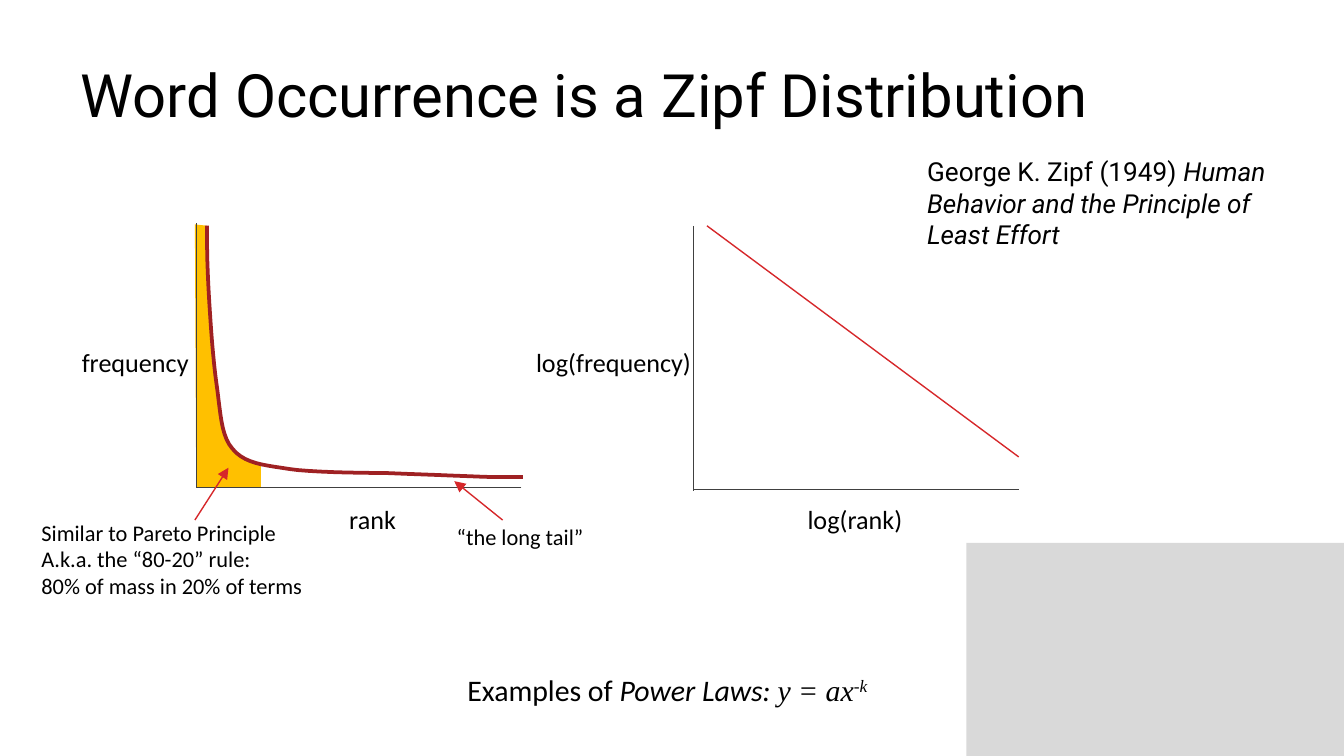
from dataclasses import dataclass

from lxml import etree
from pptx import Presentation
from pptx.dml.color import RGBColor
from pptx.enum.shapes import MSO_CONNECTOR, MSO_SHAPE
from pptx.enum.text import MSO_ANCHOR, MSO_AUTO_SIZE, PP_ALIGN
from pptx.oxml.ns import qn
from pptx.util import Inches, Pt

BLACK = RGBColor(0x00, 0x00, 0x00)
DARK = RGBColor(0x40, 0x40, 0x40)
RED = RGBColor(0xD6, 0x27, 0x2A)
MAROON = RGBColor(0x9F, 0x21, 0x23)
GOLD = RGBColor(0xFF, 0xC0, 0x00)
GREY = RGBColor(0xD9, 0xD9, 0xD9)
STRAIGHT = MSO_CONNECTOR.STRAIGHT
RECT = MSO_SHAPE.RECTANGLE
MIDDLE = MSO_ANCHOR.MIDDLE
TOP = MSO_ANCHOR.TOP
NO_FIT = MSO_AUTO_SIZE.NONE
LEFT = PP_ALIGN.LEFT

Point = tuple[float, float]
WIDE = 10
HIGH = WIDE * 9 / 16
STEPS = 10
MASS_EDGE = 1.94
BASE = 3.63


@dataclass
class Part:
    """A run of text; its text may hold line breaks."""
    text: str
    font: str = "Calibri"
    italic: bool = False
    raised: bool = False


@dataclass
class Label:
    """A text box: place, size in points, and paragraphs of parts."""
    box: tuple[float, float, float, float]
    size: int
    paras: list[list[Part]]
    wrap: bool = False


@dataclass
class Stroke:
    """A straight line, with an arrowhead at its end if wanted."""
    start: Point
    end: Point
    color: RGBColor = RED
    width: float = 0.75
    arrow: bool = False


LABELS = [
    Label((3.89, 2.53, 1.37, 0.34), 14, [[Part("log(frequency)")]]),
    Label((5.91, 3.7, 0.91, 0.34), 14, [[Part("log(rank)")]]),
    Label((2.5, 3.7, 0.55, 0.34), 14, [[Part("rank")]]),
    Label((0.51, 2.53, 1.01, 0.34), 14, [[Part("frequency")]]),
    Label((3.3, 3.84, 1.15, 0.3), 12, [[Part("“the long tail”")]]),
    Label((0.21, 3.81, 2.17, 0.71), 12, [
        [Part("Similar to Pareto Principle")],
        [Part("A.k.a. the “80-20” rule:\n80% of mass in 20% of terms")]]),
    Label((6.8, 1.11, 3, 0.81), 14, [[
        Part("George K. Zipf (1949) ", "Roboto"),
        Part("Human Behavior and the Principle of Least Effort",
             "Roboto", True)]], True),
    Label((3.38, 4.95, 3.23, 0.37), 16, [[
        Part("Examples of "), Part("Power Laws: ", italic=True),
        Part("y = ax", "Times New Roman", True),
        Part("-k", "Times New Roman", True, True)]]),
]

STROKES = [
    Stroke((5.16, 1.68), (5.16, 3.65), DARK, 0.5),
    Stroke((7.58, 3.64), (5.16, 3.64), DARK, 0.5),
    Stroke((5.26, 1.68), (7.58, 3.4)),
    Stroke((1.46, 1.66), (1.46, BASE), DARK, 0.5),
    Stroke((3.88, BASE), (1.46, BASE), DARK, 0.5),
    Stroke((1.45, 3.87), (1.7, 3.48), arrow=True),
    Stroke((3.74, 3.87), (3.38, 3.58), arrow=True),
]

# Cubic segments: two control points and an end point each.
ZIPF_START = (1.54, 1.68)
ZIPF_BENDS = [
    ((1.54, 1.8), (1.54, 1.92), (1.55, 2.12)),
    ((1.56, 2.31), (1.58, 2.64), (1.61, 2.85)),
    ((1.64, 3.05), (1.64, 3.24), (1.73, 3.34)),
    ((1.82, 3.45), (1.96, 3.46), (2.15, 3.49)),
    ((2.34, 3.52), (2.86, 3.52), (2.86, 3.52)),
    ((2.86, 3.52), (3.65, 3.55), (3.65, 3.55)),
    ((3.82, 3.55), (3.89, 3.55), (3.89, 3.55)),
]


def trace(start: Point, bends: list[tuple[Point, Point, Point]]) -> list[Point]:
    """Return points along a chain of cubic curves."""
    dots = [start]
    for one, two, end in bends:
        first = dots[-1]
        for step in range(1, STEPS + 1):
            t = step / STEPS
            u = 1 - t
            dots.append(tuple(
                u**3 * a + 3 * u * u * t * b + 3 * u * t * t * c + t**3 * d
                for a, b, c, d in zip(first, one, two, end)))
    return dots


def add_path(slide, dots: list[Point], close: bool):
    """Draw a freeform through the given points."""
    spots = [(Inches(x), Inches(y)) for x, y in dots]
    pen = slide.shapes.build_freeform(*spots[0])
    pen.add_line_segments(spots[1:], close=close)
    shape = pen.convert_to_shape()
    shape.shadow.inherit = False
    return shape


def add_stroke(slide, stroke: Stroke) -> None:
    """Draw a thin line or arrow."""
    ends = [Inches(v) for v in stroke.start + stroke.end]
    line = slide.shapes.add_connector(STRAIGHT, *ends)
    line.line.color.rgb = stroke.color
    line.line.width = Pt(stroke.width)
    props = line._element.spPr
    if stroke.arrow:
        etree.SubElement(props.find(qn("a:ln")), qn("a:tailEnd"), type="triangle")
    etree.SubElement(props, qn("a:effectLst"))


def add_part(para, part: Part, size: int) -> None:
    """Add one part to a paragraph, breaking lines where it says so."""
    for row, text in enumerate(part.text.split("\n")):
        if row:
            para.add_line_break()
        run = para.add_run()
        run.text = text
        font = run.font
        font.name, font.size, font.italic = part.font, Pt(size), part.italic
        font.color.rgb = BLACK
        if part.raised:
            run._r.get_or_add_rPr().set("baseline", "30000")


def add_label(slide, label: Label) -> None:
    """Add a text box with its paragraphs."""
    box = slide.shapes.add_textbox(*[Inches(v) for v in label.box])
    frame = box.text_frame
    frame.word_wrap = label.wrap
    frame.vertical_anchor = TOP
    for row, parts in enumerate(label.paras):
        para = frame.add_paragraph() if row else frame.paragraphs[0]
        for part in parts:
            add_part(para, part, label.size)


def set_title(slide, text: str) -> None:
    """Place and fill the title."""
    title = slide.shapes.title
    title.left, title.top = Inches(0.5), Inches(0.23)
    title.width, title.height = Inches(9), Inches(0.94)
    frame = title.text_frame
    frame.auto_size, frame.vertical_anchor = NO_FIT, MIDDLE
    para = frame.paragraphs[0]
    para.alignment = LEFT
    add_part(para, Part(text, "Roboto"), 32)


def main() -> None:
    """Build and save the slide."""
    deck = Presentation()
    deck.slide_width, deck.slide_height = Inches(WIDE), Inches(HIGH)
    slide = deck.slides.add_slide(deck.slide_layouts[5])
    set_title(slide, "Word Occurrence is a Zipf Distribution")

    left, top = 7.19, 4.04
    panel = slide.shapes.add_shape(
        RECT, Inches(left), Inches(top), Inches(WIDE - left), Inches(HIGH - top))
    panel.shadow.inherit = False
    panel.fill.solid()
    panel.fill.fore_color.rgb = GREY
    panel.line.fill.background()

    curve = trace(ZIPF_START, ZIPF_BENDS)
    head = [dot for dot in curve if dot[0] <= MASS_EDGE]
    edge = [(MASS_EDGE, 3.46), (MASS_EDGE, BASE), (1.46, BASE), (1.45, 1.67)]
    mass = add_path(slide, head + edge, True)
    mass.fill.solid()
    mass.fill.fore_color.rgb = GOLD
    mass.line.fill.background()

    for stroke in STROKES:
        add_stroke(slide, stroke)
    zipf = add_path(slide, curve, False)
    zipf.fill.background()
    zipf.line.color.rgb = MAROON
    zipf.line.width = Pt(2)
    for label in LABELS:
        add_label(slide, label)
    deck.save("out.pptx")


main()
